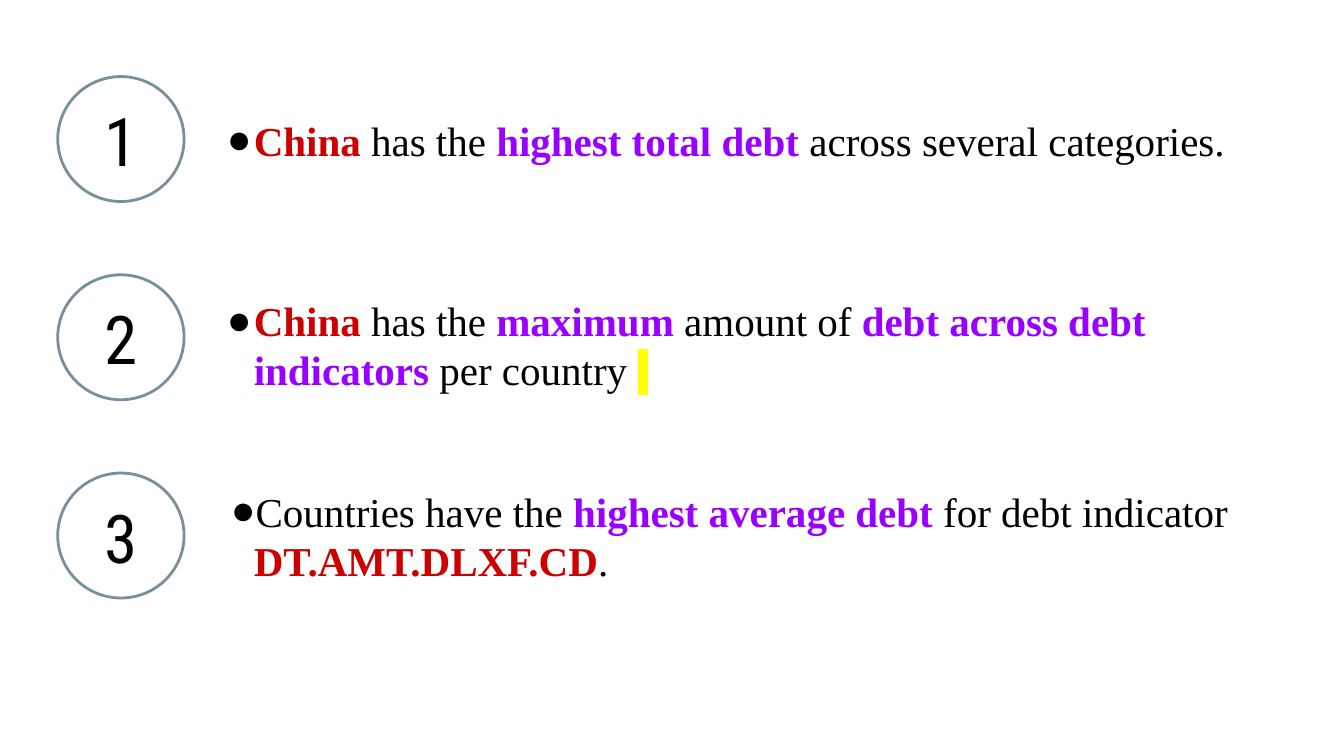
from lxml.etree import SubElement as Sub
from pptx import Presentation
from pptx.dml.color import RGBColor as RGB
from pptx.enum.shapes import MSO_SHAPE as Shape
from pptx.enum.text import PP_ALIGN as Align
from pptx.oxml.ns import qn
from pptx.util import Inches, Pt

BLACK = RGB(0x00, 0x00, 0x00)
WHITE = RGB(0xFF, 0xFF, 0xFF)
RED = RGB(0xCC, 0x00, 0x00)
PURPLE = RGB(0x99, 0x00, 0xFF)
SLATE = RGB(0x78, 0x90, 0x9C)
YELLOW = RGB(0xFF, 0xFF, 0x00)


class Deck:
    serif = "Times New Roman"
    sans = "Roboto Condensed"

    def __init__(self, slide):
        self.shapes = slide.shapes

    def box(self, shapes, left, top, width, height):
        frame = shapes.add_textbox(
            Inches(left), Inches(top), Inches(width), Inches(height)
        ).text_frame
        frame.word_wrap = True
        frame.margin_left = frame.margin_right = Inches(0.1)
        frame.margin_top = frame.margin_bottom = Inches(0.1)
        return frame.paragraphs[0]

    def style(self, para, name, size):
        para.font.name = name
        para.font.size = Pt(size)
        para.font.color.rgb = BLACK

    def bullet(self, para, hang):
        props = para._p.get_or_add_pPr()
        props.set("marL", str(Inches(0.3)))
        props.set("indent", str(-Inches(hang)))
        Sub(Sub(props, qn("a:buClr")), qn("a:srgbClr"), val=str(BLACK))
        Sub(props, qn("a:buSzPts"), val="2200")
        Sub(props, qn("a:buFont"), typeface=self.serif)
        Sub(props, qn("a:buChar"), char="●")

    def point(self, top, width, height, hang, parts):
        para = self.box(self.shapes, 1.49, top, width, height)
        self.bullet(para, hang)
        self.style(para, self.serif, 22)
        for text, color in parts:
            run = para.add_run()
            run.text = text
            run.font.bold = color in (RED, PURPLE)
            run.font.color.rgb = BLACK if color == YELLOW else color
            if color == YELLOW:
                mark = Sub(run.font._element, qn("a:highlight"))
                Sub(mark, qn("a:srgbClr"), val=str(color))

    def badge(self, top, label):
        group = self.shapes.add_group_shape()
        ring = group.shapes.add_shape(
            Shape.OVAL, Inches(0.43), Inches(top), Inches(0.94), Inches(0.93)
        )
        ring.shadow.inherit = False
        ring.fill.solid()
        ring.fill.fore_color.rgb = WHITE
        ring.line.color.rgb = SLATE
        ring.line.width = Pt(1.5)
        para = self.box(group.shapes, 0.51, top + 0.07, 0.78, 0.78)
        para.alignment = Align.CENTER
        self.style(para, self.sans, 36)
        para.add_run().text = label


POINTS = [
    (0.76, 8.36, 0.85, 0.2, [
        ("China ", RED),
        ("has the ", BLACK),
        ("highest total debt", PURPLE),
        (" across several categories.", BLACK),
    ]),
    (2.1, 7.95, 0.93, 0.2, [
        ("China ", RED),
        ("has the ", BLACK),
        ("maximum", PURPLE),
        (" amount of ", BLACK),
        ("debt across debt indicators ", PURPLE),
        ("per country ", BLACK),
        (" ", YELLOW),
    ]),
    (3.52, 8.36, 0.93, 0.17, [
        ("Countries have the ", BLACK),
        ("highest average debt ", PURPLE),
        ("for debt indicator ", BLACK),
        ("DT.AMT.DLXF.CD", RED),
        (".", BLACK),
    ]),
]


def main():
    show = Presentation()
    show.slide_width = Inches(10)
    show.slide_height = Inches(10 * 9 / 16)
    deck = Deck(show.slides.add_slide(show.slide_layouts[6]))
    for point in POINTS:
        deck.point(*point)
    for row in range(len(POINTS)):
        deck.badge(0.57 + row * 2.95 / 2, str(row + 1))
    show.save("out.pptx")


if __name__ == "__main__":
    main()
